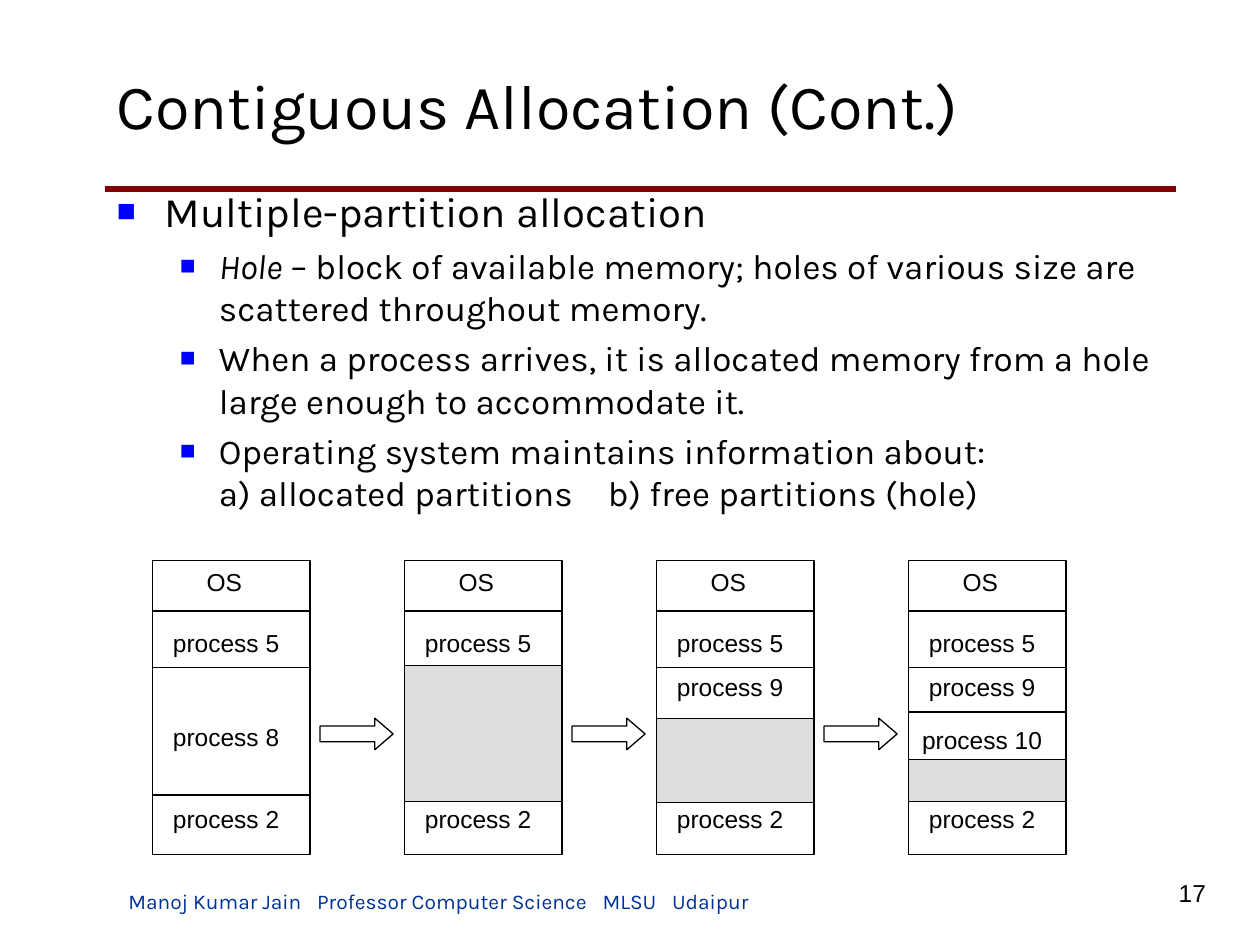
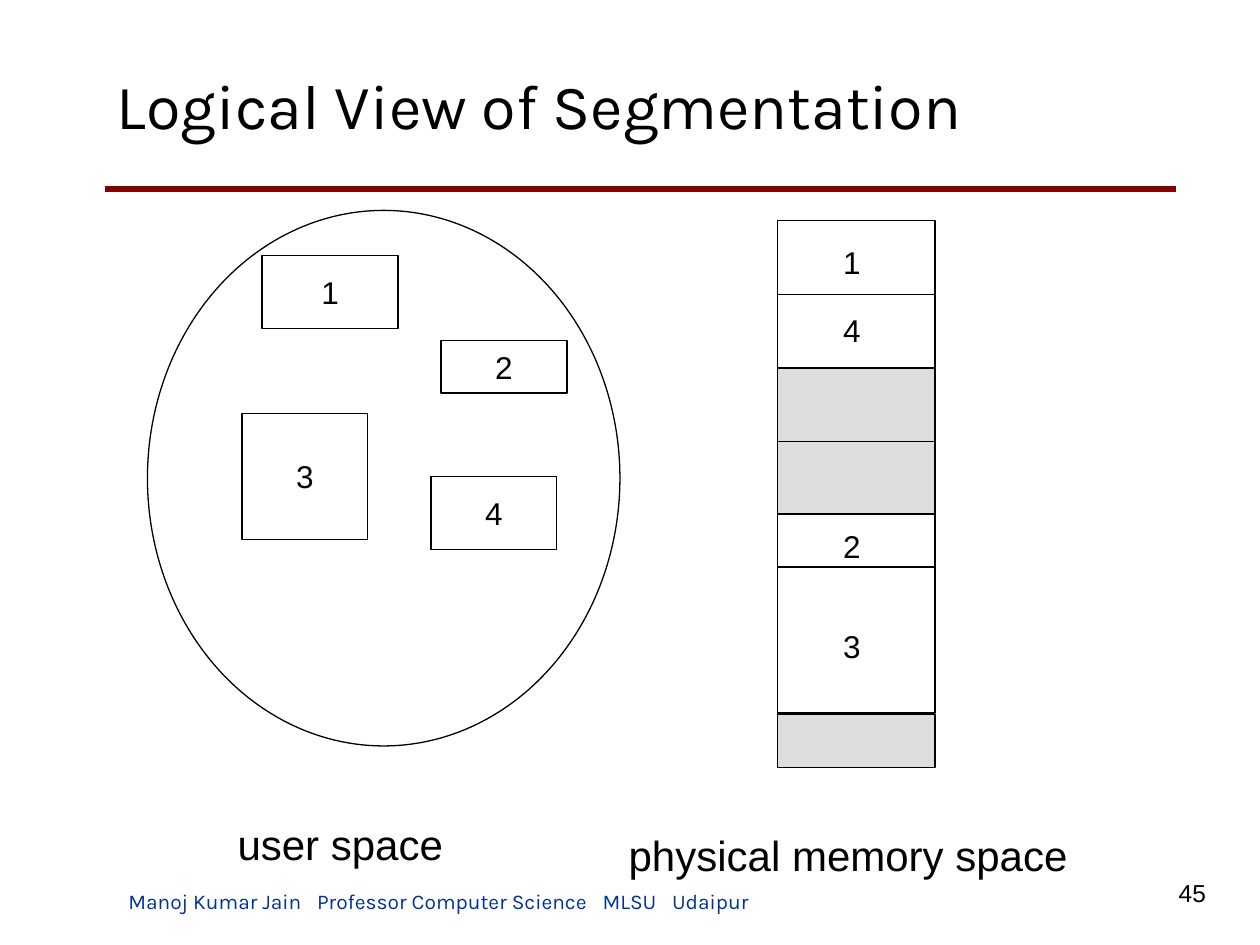
import dataclasses

import pptx
import pptx.dml.color
import pptx.enum.shapes
import pptx.enum.text
import pptx.oxml
import pptx.oxml.ns
import pptx.util

Inches = pptx.util.Inches
Pt = pptx.util.Pt
Shape = pptx.enum.shapes.MSO_SHAPE
Align = pptx.enum.text.PP_ALIGN
Anchor = pptx.enum.text.MSO_ANCHOR


@dataclasses.dataclass(frozen=True)
class Theme:
    ink: str = "000000"
    paper: str = "FFFFFF"
    hole: str = "DDDDDD"
    rule: str = "800000"
    bullet: str = "0000FF"
    footer: str = "003399"
    heading_font: str = "Karla"
    label_font: str = "Arial"
    title_size: int = 36
    large_size: int = 24
    body_size: int = 20
    number_size: int = 18
    label_size: int = 14
    footer_size: int = 12
    hairline: float = 0.75
    rule_width: float = 3


def rgb(value):
    return pptx.dml.color.RGBColor.from_string(value)


def assign(target, values):
    for name, value in values.items():
        setattr(target, name, value)


def add_xml(parent, tag, **attributes):
    child = pptx.oxml.ns.qn(tag)
    element = parent.makeelement(child, attributes)
    parent.append(element)
    return element


class SlideBuilder:
    def __init__(self, deck, theme):
        self.deck = deck
        self.theme = theme
        self.page = None
        self.canvas = None

    def start_page(self, title, number):
        theme = self.theme
        self.page = self.deck.slides.add_slide(self.deck.slide_layouts[6])
        self.canvas = self.page.shapes
        self.line(0.83, 9.33, 1.5, theme.rule, theme.rule_width)
        footer = self.text_box(0.92, 7, 7.33, 0.3, Anchor.BOTTOM)
        parts = ["Manoj Kumar Jain", "Professor Computer Science", "MLSU", "Udaipur"]
        for index, part in enumerate(parts):
            if index:
                self.gap(footer.paragraphs[0], theme.footer_size, 6)
            self.span(footer.paragraphs[0], part, theme.footer_size,
                      theme.heading_font, theme.footer)
        self.label(number, 9, 6.92, 0.67, 0.33, theme.label_size, Align.RIGHT, Anchor.TOP)
        heading = self.text_box(0.83, 0.33, 7.75, 1, Anchor.MIDDLE)
        self.span(heading.paragraphs[0], title, theme.title_size, theme.heading_font)

    def start_group(self):
        self.canvas = self.page.shapes.add_group_shape().shapes

    def end_group(self):
        self.canvas = self.page.shapes

    def format_frame(self, frame, anchor, wrap=True):
        assign(frame, {
            "word_wrap": wrap,
            "vertical_anchor": anchor,
            "margin_left": Inches(0.1),
            "margin_right": Inches(0.1),
            "margin_top": Inches(0.05),
            "margin_bottom": Inches(0.05),
        })
        return frame

    def text_box(self, left, top, width, height, anchor, wrap=True):
        box = self.canvas.add_textbox(*map(Inches, (left, top, width, height)))
        return self.format_frame(box.text_frame, anchor, wrap)

    def span(self, para, text, size, font, color=None, italic=False):
        span = para.add_run()
        span.text = text
        assign(span.font, {"size": Pt(size), "name": font, "italic": italic})
        span.font.color.rgb = rgb(color or self.theme.ink)
        return span

    def gap(self, para, size, extra):
        space = self.span(para, " ", size, self.theme.heading_font)
        space.font._element.set("spc", str(extra * 100))

    def label(self, text, left, top, width, height, size,
              align=Align.CENTER, anchor=Anchor.MIDDLE, wrap=True):
        para = self.text_box(left, top, width, height, anchor, wrap).paragraphs[0]
        para.alignment = align
        self.span(para, text, size, self.theme.label_font)

    def bullet(self, para, level, indent, hanging, before):
        assign(para, {"level": level, "space_before": Pt(before)})
        properties = para._p.get_or_add_pPr()
        properties.set("marL", str(Inches(indent)))
        properties.set("indent", str(-Inches(hanging)))
        color = add_xml(properties, "a:buClr")
        add_xml(color, "a:srgbClr", val=self.theme.bullet)
        add_xml(properties, "a:buSzPct", val="75000")
        add_xml(properties, "a:buFont", typeface=self.theme.label_font)
        add_xml(properties, "a:buChar", char="■")

    def shape(self, kind, left, top, width, height, fill=None, text=None):
        theme = self.theme
        shape = self.canvas.add_shape(kind, *map(Inches, (left, top, width, height)))
        shape.shadow.inherit = False
        shape.fill.solid()
        shape.fill.fore_color.rgb = rgb(fill or theme.paper)
        shape.line.color.rgb = rgb(theme.ink)
        shape.line.width = Pt(theme.hairline)
        if text:
            para = self.format_frame(shape.text_frame, Anchor.MIDDLE, False).paragraphs[0]
            para.alignment = Align.CENTER
            self.span(para, text, theme.number_size, theme.label_font)
        return shape

    def line(self, left, right, top, color=None, width=None):
        line = self.canvas.add_connector(
            pptx.enum.shapes.MSO_CONNECTOR.STRAIGHT,
            Inches(left), Inches(top), Inches(right), Inches(top))
        line.line.color.rgb = rgb(color or self.theme.ink)
        line.line.width = Pt(width or self.theme.hairline)
        add_xml(line._element.spPr, "a:effectLst")
        return line


def build_allocation(builder):
    theme = builder.theme
    font = theme.heading_font
    builder.start_page("Contiguous Allocation (Cont.)", "17")

    body = builder.text_box(0.83, 1.42, 8.5, 2.76, Anchor.TOP)
    para = body.paragraphs[0]
    builder.bullet(para, 0, 0.38, 0.38, 6)
    builder.span(para, "Multiple-partition allocation", theme.large_size, font)
    points = [
        [("Hole", True),
         (" – block of available memory; holes of various size are scattered "
          "throughout memory.", False)],
        [("When a process arrives, it is allocated memory from a hole large "
          "enough to accommodate it.", False)],
        [("Operating system maintains information about:", False)],
    ]
    for point in points:
        para = body.add_paragraph()
        builder.bullet(para, 1, 0.81, 0.31, 5)
        for text, italic in point:
            builder.span(para, text, theme.body_size, font, italic=italic)
    para.add_line_break()
    builder.span(para, "a) allocated partitions", theme.body_size, font)
    builder.gap(para, theme.body_size, 15)
    builder.span(para, "b) free partitions (hole)", theme.body_size, font)

    width, top, pitch = 1.25, 4.45, 2
    stages = [
        {"labels": [("process 8", 5.68)]},
        {"hole": (5.28, 1.08)},
        {"labels": [("process 9", 5.28)], "hole": (5.7, 0.67)},
        {"labels": [("process 9", 5.28), ("process 10", 5.7)],
         "hole": (6.03, 0.33), "dividers": [5.65]},
    ]
    shared_labels = [("process 5", 4.93), ("process 2", 6.33)]
    for index, stage in enumerate(stages):
        left = 1.21 + index * pitch
        builder.shape(Shape.RECTANGLE, left, top, width, 2.33)
        for divider in [4.85, 5.3, 6.31] + stage.get("dividers", []):
            builder.line(left, left + width, divider)
        if "hole" in stage:
            hole_top, hole_height = stage["hole"]
            builder.shape(Shape.RECTANGLE, left, hole_top, width, hole_height, theme.hole)
        builder.label("OS", left + 0.33, top, 0.48, 0.34, theme.label_size, wrap=False)
        for text, label_top in shared_labels + stage.get("labels", []):
            builder.label(text, left, label_top, 1.17, 0.34, theme.label_size)
        if index:
            arrow = builder.shape(Shape.RIGHT_ARROW, left - 0.67, 5.7, 0.58, 0.25)
            arrow.adjustments[1] = 0.58


def build_segmentation(builder):
    theme = builder.theme
    builder.start_page("Logical View of Segmentation", "45")

    builder.shape(Shape.OVAL, 1.17, 1.67, 3.75, 4.25)
    segments = [
        ("1", 2.08, 2.03, 1.08, 0.58),
        ("3", 1.92, 3.28, 1, 1),
        ("2", 3.5, 2.7, 1, 0.42),
        ("4", 3.42, 3.78, 1, 0.58),
    ]
    for text, *place in segments:
        builder.shape(Shape.RECTANGLE, *place, text=text)

    left, width = 6.17, 1.25
    builder.start_group()
    blocks = [
        (1.75, 1.17, theme.paper, True),
        (2.92, 1.17, theme.hole, True),
        (4.08, 1.58, theme.paper, False),
        (5.67, 0.42, theme.hole, False),
    ]
    for top, height, fill, halved in blocks:
        block = builder.shape(Shape.RECTANGLE, left, top, width, height, fill)
        if halved:
            divider = builder.line(left, left + width, top + height / 2)
            divider.begin_connect(block, 1)
            divider.end_connect(block, 3)
    builder.line(left, left + width, 4.5)
    for text, top in [("1", 1.88), ("4", 2.42), ("2", 4.13), ("3", 4.93)]:
        builder.label(text, 6.59, top, 0.34, 0.4, theme.number_size, wrap=False)
    builder.end_group()

    builder.label("user space", 1.74, 6.45, 1.92, 0.5, theme.large_size, wrap=False)
    builder.label("physical memory space", 4.89, 6.53, 3.68, 0.5,
                  theme.large_size, wrap=False)


def main():
    deck = pptx.Presentation()
    assign(deck, {"slide_width": Inches(10), "slide_height": Inches(7.5)})
    builder = SlideBuilder(deck, Theme())
    build_allocation(builder)
    build_segmentation(builder)
    deck.save("out.pptx")


if __name__ == "__main__":
    main()
